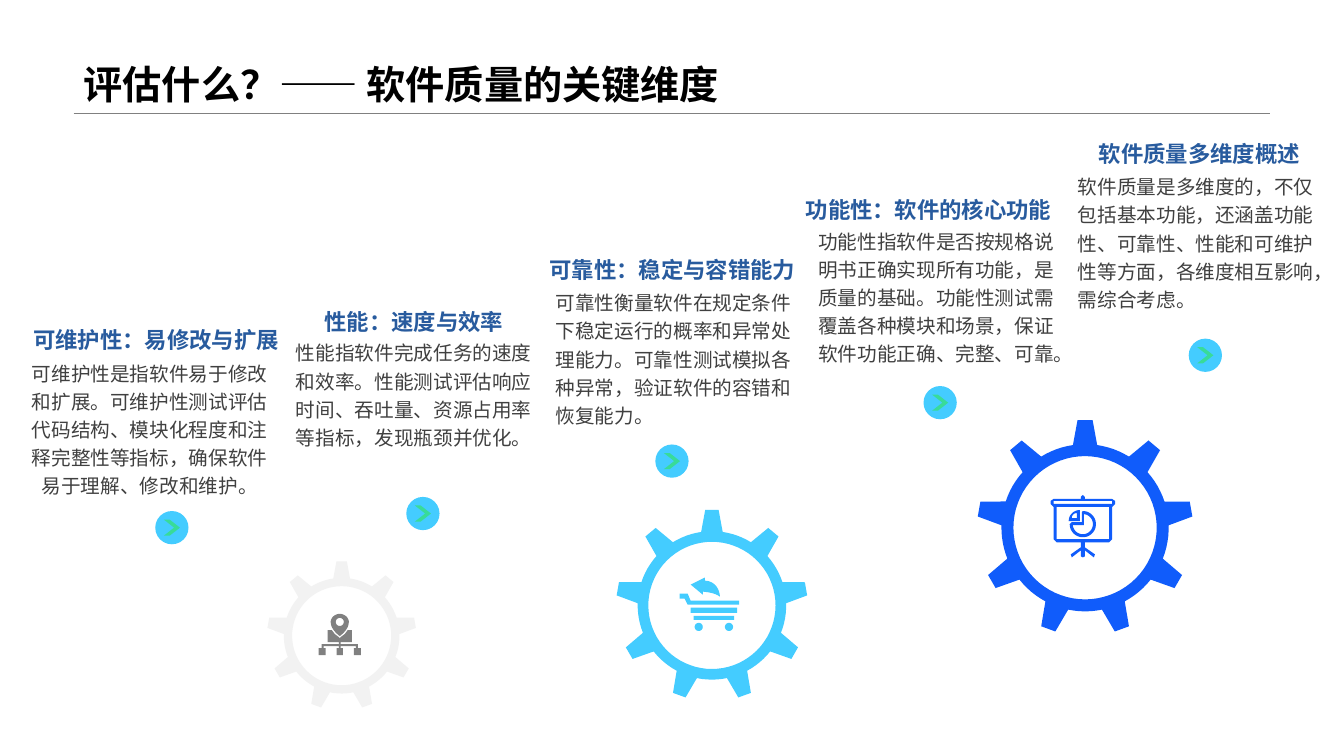
import math

import pptx
import pptx.dml.color
import pptx.enum.shapes
import pptx.enum.text
import pptx.oxml
import pptx.oxml.ns
import pptx.util

Inches = pptx.util.Inches
Pt = pptx.util.Pt
PRESET = pptx.enum.shapes.MSO_SHAPE
ANCHOR = pptx.enum.text.MSO_ANCHOR
ALIGN = pptx.enum.text.PP_ALIGN

COLORS = {"title": "000000", "heading": "285B9E", "body": "404040", "rule": "808080",
          "cyan": "44CCFF", "green": "38DB99", "blue": "105CFB", "pale": "F2F2F2",
          "gray": "808080"}
FONT = "Noto Sans CJK SC"
TEETH = 9
BADGE = 0.33
CHEVRON = 0.16

DIMENSIONS = [
    ("可维护性：易修改与扩展", (0.28, 3.23, 2.54),
     "可维护性是指软件易于修改和扩展。可维护性测试评估代码结构、模块化程度和注释完整性等指标，确保软件易于理解、修改和维护。",
     (0.28, 3.54, 1.39), ALIGN.CENTER, (1.54, 5.07)),
    ("性能：速度与效率", (2.9, 3.05, 2.41),
     "性能指软件完成任务的速度和效率。性能测试评估响应时间、吞吐量、资源占用率等指标，发现瓶颈并优化。",
     (2.9, 3.34, 1.11), ALIGN.CENTER, (4.03, 4.93)),
    ("可靠性：稳定与容错能力", (5.42, 2.54, 2.5),
     "可靠性衡量软件在规定条件下稳定运行的概率和异常处理能力。可靠性测试模拟各种异常，验证软件的容错和恢复能力。",
     (5.51, 2.84, 1.39), ALIGN.LEFT, (6.5, 4.41)),
    ("功能性：软件的核心功能", (7.92, 1.94, 2.58),
     "功能性指软件是否按规格说明书正确实现所有功能，是质量的基础。功能性测试需覆盖各种模块和场景，保证软件功能正确、完整、可靠。",
     (8.08, 2.23, 1.39), ALIGN.CENTER, (9.16, 3.83)),
    ("软件质量多维度概述", (10.69, 1.39, 2.41),
     "软件质量是多维度的，不仅包括基本功能，还涵盖功能性、可靠性、性能和可维护性等方面，各维度相互影响，需综合考虑。",
     (10.69, 1.69, 1.39), ALIGN.LEFT, (11.79, 3.36)),
]


def rgb(name):
    return pptx.dml.color.RGBColor.from_string(COLORS[name])


def paint(shape, color):
    shape.shadow.inherit = False
    shape.fill.solid()
    shape.fill.fore_color.rgb = rgb(color)
    shape.line.fill.background()


def format_text(paragraph, size, color, bold, latin=FONT):
    for run in paragraph.runs:
        run.font.size = Pt(size)
        run.font.bold = bold
        run.font.name = latin
        run.font.color.rgb = rgb(color)
        east_asian = pptx.oxml.parse_xml(
            f'<a:ea {pptx.oxml.ns.nsdecls("a")} typeface="{FONT}"/>')
        run.font._element.find(pptx.oxml.ns.qn("a:latin")).addnext(east_asian)


def add_text(slide, text, box, size, color, bold, anchor, align, spacing):
    shape = slide.shapes.add_textbox(*map(Inches, box))
    frame = shape.text_frame
    frame.text = text
    frame.word_wrap = True
    frame.auto_size = pptx.enum.text.MSO_AUTO_SIZE.SHAPE_TO_FIT_TEXT
    frame.vertical_anchor = anchor
    frame.margin_left = frame.margin_right = frame.margin_top = frame.margin_bottom = 0
    paragraph = frame.paragraphs[0]
    paragraph.alignment = align
    paragraph.line_spacing = spacing
    format_text(paragraph, size, color, bold)


def add_title(slide, text):
    title = slide.shapes.title
    title.left, title.top, title.width, title.height = map(Inches, (0.73, 0, 11.87, 1.12))
    frame = title.text_frame
    frame.text = text
    frame.auto_size = pptx.enum.text.MSO_AUTO_SIZE.NONE
    frame.vertical_anchor = ANCHOR.BOTTOM
    paragraph = frame.paragraphs[0]
    paragraph.alignment = ALIGN.LEFT
    paragraph.line_spacing = 0.9
    format_text(paragraph, 28, "title", True, "Arial")


def add_rule(slide):
    rule = slide.shapes.add_connector(
        pptx.enum.shapes.MSO_CONNECTOR.STRAIGHT, *map(Inches, (0.73, 1.12, 12.6, 1.12)))
    rule.line.color.rgb = rgb("rule")
    rule.line.width = Pt(0.25)
    rule._element.spPr.append(
        pptx.oxml.parse_xml(f'<a:effectLst {pptx.oxml.ns.nsdecls("a")}/>'))


def add_badge(slide, left, top):
    inset = (BADGE - CHEVRON) / 2
    circle = slide.shapes.add_shape(
        PRESET.OVAL, *map(Inches, (left, top, BADGE, BADGE)))
    paint(circle, "cyan")
    chevron = slide.shapes.add_shape(
        PRESET.CHEVRON, *map(Inches, (left + inset, top + inset, CHEVRON, CHEVRON)))
    chevron.adjustments[0] = 0.64
    paint(chevron, "green")


def add_dimension(slide, heading, heading_box, body, body_box, align, badge):
    add_text(slide, heading, (*heading_box, 0.27), 16, "heading", True,
             ANCHOR.BOTTOM, ALIGN.CENTER, 1.0)
    left, top, height = body_box
    add_text(slide, body, (left, top, 2.41, height), 14, "body", False,
             ANCHOR.TOP, align, 1.2)
    add_badge(slide, *badge)


def add_outline(slide, contours, color):
    builder = None
    for contour in contours:
        points = [(Inches(x), Inches(y)) for x, y in contour]
        if builder is None:
            builder = slide.shapes.build_freeform(*points[0])
        else:
            builder.move_to(*points[0])
        builder.add_line_segments(points[1:], close=True)
    shape = builder.convert_to_shape()
    paint(shape, color)
    return shape


def arc(x, y, radius, start, end, steps):
    angles = [math.radians(start + (end - start) * i / steps) for i in range(steps + 1)]
    return [(x + radius * math.sin(a), y - radius * math.cos(a)) for a in angles]


def circle(x, y, radius):
    return arc(x, y, radius, 0, 360, 72)


def rectangle(left, top, right, bottom):
    return [(left, top), (right, top), (right, bottom), (left, bottom)]


def curve(*controls, steps=10):
    def blend(i, axis):
        t = i / steps
        return sum(math.comb(3, k) * (1 - t) ** (3 - k) * t ** k * controls[k][axis]
                   for k in range(4))
    return [(blend(i, 0), blend(i, 1)) for i in range(steps + 1)]


def mirror(right_half, axis):
    return right_half + [(2 * axis - x, y) for x, y in reversed(right_half)]


def add_gear(slide, x, y, radius, color):
    base, base_angle, tip_angle = 0.775 * radius, 8.33, 4
    pitch = 360 / TEETH
    rim = []
    for tooth in range(TEETH):
        angle = tooth * pitch
        rim += arc(x, y, radius, angle - tip_angle, angle + tip_angle, 1)
        rim += arc(x, y, base, angle + base_angle, angle + pitch - base_angle, 6)
    gear = add_outline(slide, [circle(x, y, 0.664 * radius), rim], color)
    gear.rotation = 320


def add_board_icon(slide):
    axis = 10.74
    easel = [(axis, 4.91), (10.76, 4.93), (10.76, 4.95), (11.03, 4.95), (11.06, 4.97),
             (11.06, 5), (11.03, 5.03), (11.03, 5.35), (11, 5.38), (10.76, 5.38),
             (10.76, 5.43), (10.86, 5.5), (10.85, 5.53), (10.76, 5.46), (10.76, 5.52),
             (axis, 5.53)]
    add_outline(slide, [
        mirror(easel, axis),
        rectangle(10.45, 4.97, 11.03, 5),
        rectangle(10.48, 5.03, 11, 5.35),
        arc(10.74, 5.2, 0.13, 0, 270, 36) + [(10.63, 5.18), (10.73, 5.18), (10.73, 5.08)],
        arc(10.74, 5.2, 0.1, 6, 264, 36) + [(10.75, 5.21)],
        arc(10.71, 5.17, 0.11, 270, 360, 12) + [(10.71, 5.17)],
        arc(10.68, 5.14, 0.05, 270, 360, 12) + [(10.68, 5.14)],
    ], "blue")


def add_location_icon(slide):
    axis = 3.37
    tree = [(axis, 6.33), (3.38, 6.32), (3.42, 6.29), (3.45, 6.25), (3.49, 6.25),
            (3.49, 6.37), (3.38, 6.37), (3.38, 6.39), (3.55, 6.39), (3.55, 6.43),
            (3.58, 6.43), (3.58, 6.5), (3.51, 6.5), (3.51, 6.43), (3.53, 6.43),
            (3.53, 6.41), (3.38, 6.41), (3.38, 6.43), (3.4, 6.43), (3.4, 6.5)]
    pin = (curve((axis, 6.09), (3.42, 6.09), (3.46, 6.13), (3.46, 6.17))
           + curve((3.46, 6.17), (3.46, 6.25), (axis, 6.31), (axis, 6.31)))
    add_outline(slide, [mirror(tree, axis), mirror(pin, axis), circle(axis, 6.17, 0.04)],
                "gray")


def add_cart_icon(slide):
    arrow = ([(6.99, 5.73)]
             + curve((6.99, 5.76), (7.14, 5.77), (7.14, 5.92), (7.14, 5.92))
             + curve((7.14, 5.92), (7.14, 5.92), (7.1, 5.88), (6.97, 5.87))
             + [(6.97, 5.9), (6.85, 5.8)])
    handle = [(6.74, 5.89), (6.82, 5.89), (6.85, 5.96), (7.33, 5.96), (7.33, 6),
              (6.82, 6), (6.79, 5.94), (6.74, 5.94)]
    add_outline(slide, [
        arrow, handle,
        rectangle(6.85, 6.03, 7.31, 6.08),
        rectangle(6.88, 6.11, 7.28, 6.15),
        circle(6.93, 6.22, 0.04), circle(7.23, 6.22, 0.04),
    ], "cyan")


def main():
    presentation = pptx.Presentation()
    presentation.slide_width = Inches(13.33)
    presentation.slide_height = Inches(7.5)
    slide = presentation.slides.add_slide(presentation.slide_layouts[5])
    add_rule(slide)
    add_title(slide, "评估什么？—— 软件质量的关键维度")
    for dimension in DIMENSIONS:
        add_dimension(slide, *dimension)
    add_gear(slide, 10.75, 5.24, 1.07, "blue")
    add_board_icon(slide)
    add_gear(slide, 3.38, 6.31, 0.74, "pale")
    add_location_icon(slide)
    add_gear(slide, 7.05, 6.01, 0.95, "cyan")
    add_cart_icon(slide)
    presentation.save("out.pptx")


if __name__ == "__main__":
    main()
